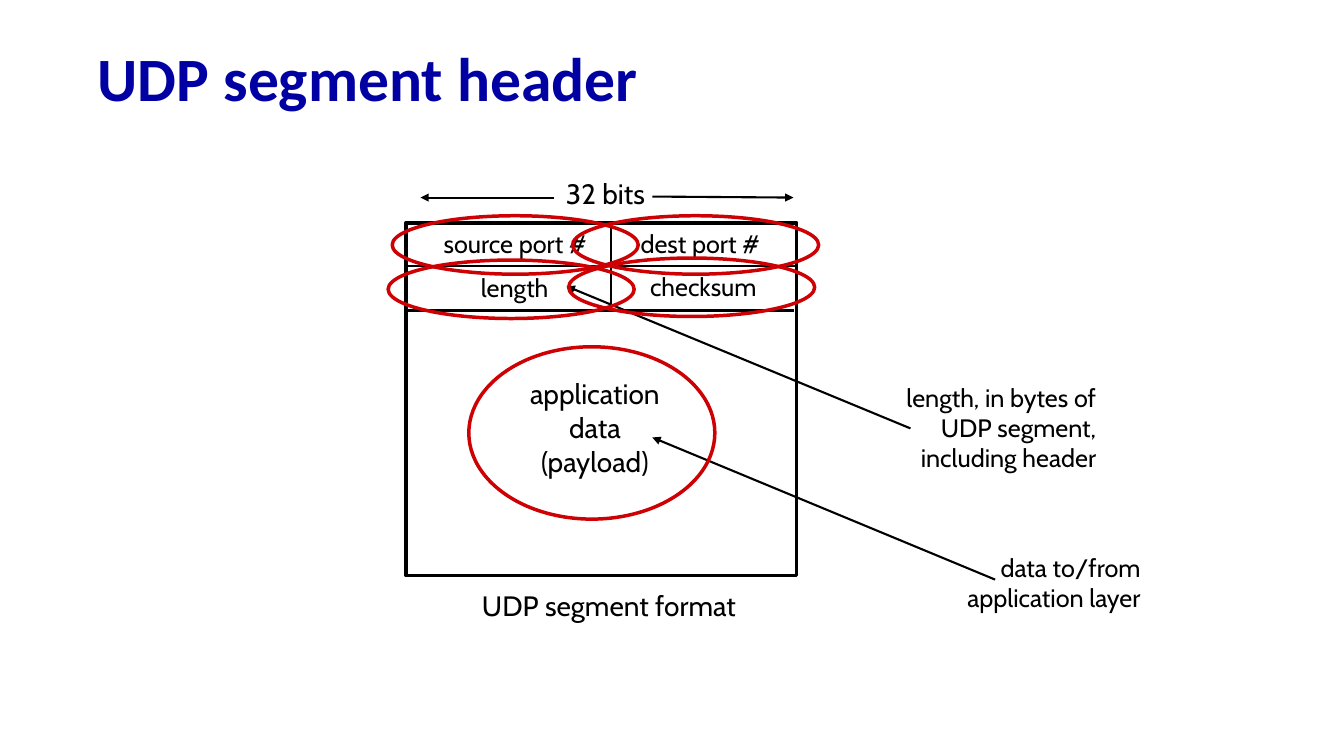
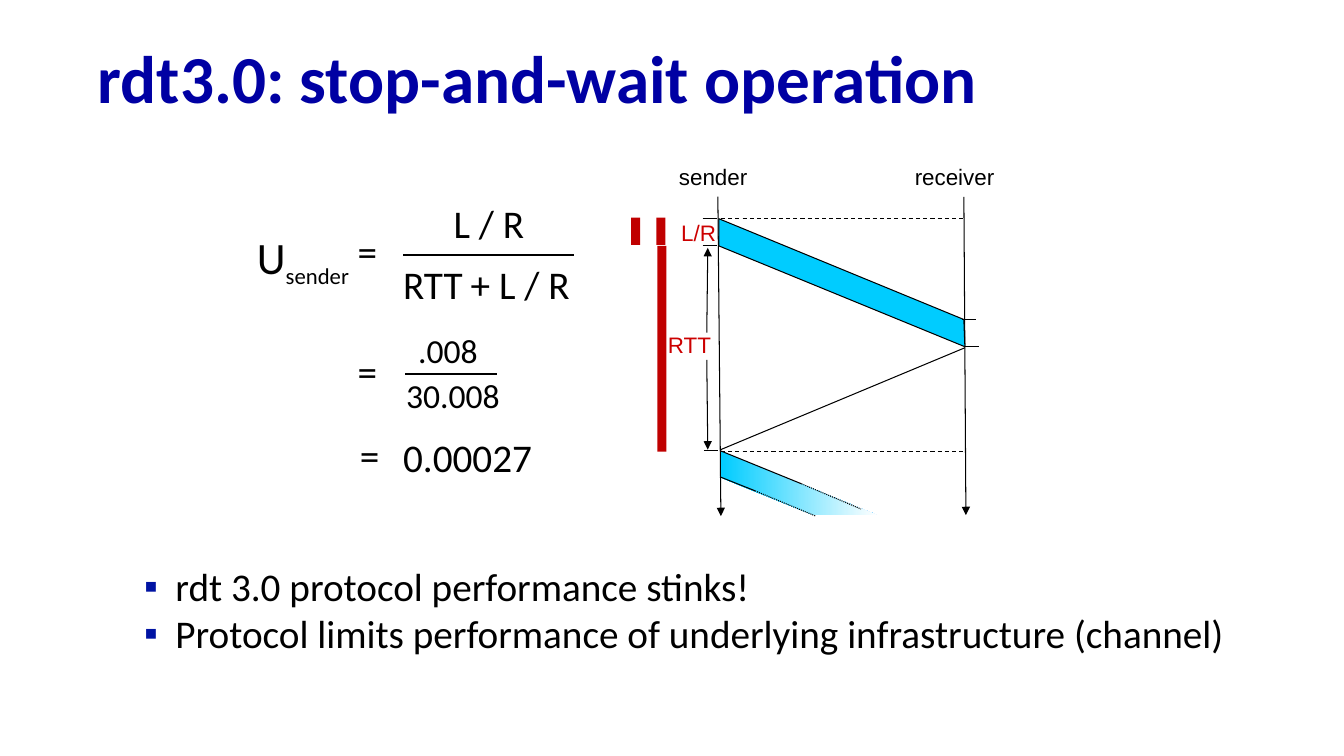
from lxml import etree
from pptx import Presentation
from pptx import util as u
from pptx.dml.color import RGBColor
from pptx.enum import dml, shapes, text
from pptx.oxml import ns

COLORS = {
    "title": "0000A3",
    "bullet": "0013A3",
    "ink": "000000",
    "paper": "FFFFFF",
    "ring": "CD0004",
    "label": "CC0000",
    "bar": "C00000",
    "packet": "00CCFF",
}
LEFT, CENTER, RIGHT = text.PP_ALIGN.LEFT, text.PP_ALIGN.CENTER, text.PP_ALIGN.RIGHT
DASH, DOT = dml.MSO_LINE.DASH, dml.MSO_LINE.ROUND_DOT


def color(name):
    return RGBColor.from_string(COLORS[name])


def inches(values):
    return [u.Inches(value) for value in values]


def add_xml(parent, tag, **attributes):
    return etree.SubElement(parent, ns.qn(tag), attributes)


class Deck:
    def __init__(self):
        self.presentation = Presentation()
        self.presentation.slide_width = u.Inches(13.33)
        self.presentation.slide_height = u.Inches(7.5)
        self.slide = None
        self.font = "Calibri"
        self.line_width = 1.5

    def start(self, title, size, layout, font, line_width):
        self.slide = self.presentation.slides.add_slide(self.presentation.slide_layouts[layout])
        self.font, self.line_width = font, line_width
        frame = self.place(self.slide.shapes.title, (0.87, 0.32, 12.14, 0.98))
        frame.vertical_anchor = text.MSO_ANCHOR.MIDDLE
        frame.text = title
        paragraph = frame.paragraphs[0]
        paragraph.line_spacing = 0.9
        self.style(paragraph, size, "title", LEFT, "Calibri", bold=True)

    def place(self, shape, box):
        shape.left, shape.top, shape.width, shape.height = inches(box)
        frame = shape.text_frame
        frame.word_wrap = True
        frame.auto_size = text.MSO_AUTO_SIZE.NONE
        return frame

    def style(self, paragraph, size, ink="ink", align=LEFT, font=None, bold=False):
        paragraph.alignment = align
        for run in paragraph.runs:
            run.font.name = font or self.font
            run.font.size = u.Pt(size)
            run.font.bold = bold
            run.font.color.rgb = color(ink)

    def label(self, words, box, size, align=LEFT, ink="ink", wrap=True, fill=None):
        shape = self.slide.shapes.add_textbox(*inches(box))
        if fill:
            shape.fill.solid()
            shape.fill.fore_color.rgb = color(fill)
        frame = shape.text_frame
        frame.word_wrap = wrap
        frame.text = words
        for paragraph in frame.paragraphs:
            self.style(paragraph, size, ink, align)
        return frame.paragraphs[0]

    def formula(self, words, left, top, width, size=28):
        height = {24: 0.5, 28: 0.57, 32: 0.64}[size]
        return self.label(words, (left, top, width, height), size, wrap=False)

    def subscript(self, paragraph, words, size):
        run = paragraph.add_run()
        run.text = words
        run.font.name = self.font
        run.font.size = u.Pt(size)
        run.font.color.rgb = color("ink")
        run._r.get_or_add_rPr().set("baseline", "-25000")

    def paint(self, shape, fill=None, line=None, width=1.0):
        shape.shadow.inherit = False
        if fill:
            shape.fill.solid()
            shape.fill.fore_color.rgb = color(fill)
        else:
            shape.fill.background()
        if line:
            shape.line.color.rgb = color(line)
            shape.line.width = u.Pt(width)
        else:
            shape.line.fill.background()

    def rectangle(self, box, fill, line=None, width=1.0):
        shape = self.slide.shapes.add_shape(shapes.MSO_SHAPE.RECTANGLE, *inches(box))
        self.paint(shape, fill, line, width)

    def ring(self, left, top, height=0.58):
        box = inches((left, top, 2.44, height))
        shape = self.slide.shapes.add_shape(shapes.MSO_SHAPE.OVAL, *box)
        self.paint(shape, line="ring", width=2.5)

    def line(self, start, end, arrow=False, dash=None, width=None):
        connector = self.slide.shapes.add_connector(
            shapes.MSO_CONNECTOR.STRAIGHT, *inches(start + end)
        )
        connector.line.color.rgb = color("ink")
        connector.line.width = u.Pt(width or self.line_width)
        if dash:
            connector.line.dash_style = dash
        if arrow:
            add_xml(connector.line._get_or_add_ln(), "a:tailEnd", type="triangle")
        add_xml(connector._element.spPr, "a:effectLst")

    def band(self, points, line=None, fade=False):
        corners = [inches(point) for point in points]
        builder = self.slide.shapes.build_freeform(*corners[0])
        builder.add_line_segments(corners[1:], close=True)
        shape = builder.convert_to_shape()
        self.paint(shape, "packet", line, self.line_width)
        if fade:
            shape.fill.gradient()
            shape.fill.gradient_angle = 0
            for stop, name in zip(shape.fill.gradient_stops, ("packet", "paper")):
                stop.color.rgb = color(name)

    def bullets(self, items, box, size):
        frame = self.place(self.slide.placeholders[1], box)
        frame.vertical_anchor = text.MSO_ANCHOR.TOP
        frame.text = "\n".join(items)
        for paragraph in frame.paragraphs:
            properties = paragraph._p.get_or_add_pPr()
            properties.set("marL", str(u.Inches(0.31)))
            properties.set("indent", str(u.Inches(-0.31)))
            add_xml(add_xml(properties, "a:buClr"), "a:srgbClr", val=COLORS["bullet"])
            add_xml(properties, "a:buFont", typeface="Arial")
            add_xml(properties, "a:buChar", char="▪")
            paragraph.space_before = u.Pt(0)
            self.style(paragraph, size)


def segment_header(deck):
    deck.start("UDP segment header", 44, 5, "Cabin", 1.5)
    deck.rectangle((4.03, 2.21, 3.87, 3.5), "paper", "ink", 2.75)
    for words, left, top, width in (
        ("source port #", 4.2, 2.22, 1.82),
        ("dest port #", 6.17, 2.22, 1.55),
        ("length", 4.63, 2.65, 0.95),
        ("checksum", 6.29, 2.64, 1.37),
    ):
        deck.label(words, (left, top, width, 0.4), 18, CENTER)
    for words, box in (
        ("32 bits", (5.46, 1.7, 1.09, 0.43)),
        ("application\ndata\n(payload)", (5.09, 3.69, 1.62, 1.1)),
        ("UDP segment format", (4.57, 5.79, 2.94, 0.43)),
    ):
        deck.label(words, box, 20, CENTER)

    for left, y in ((4.02, 2.64), (4.01, 3.08)):
        deck.line((left, y), (left + 3.87, y))
    for top in (2.21, 2.65):
        deck.line((6.06, top), (6.06, top + 0.44))
    for start, end in (
        ((6.47, 1.95), (7.87, 1.96)),
        ((5.49, 1.96), (4.17, 1.96)),
        ((9.03, 4.25), (5.62, 2.84)),
        ((9.87, 5.75), (6.47, 4.34)),
    ):
        deck.line(start, end, arrow=True)
    for left, top in ((3.89, 2.14), (5.68, 2.14), (3.85, 2.58), (5.64, 2.56)):
        deck.ring(left, top)
    deck.ring(4.65, 3.44, 1.71)
    deck.label("length, in bytes of UDP segment, including header",
               (8.34, 3.74, 2.63, 1), 18, RIGHT)
    deck.label("data to/from application layer", (8.78, 5.43, 2.63, 0.71), 18, RIGHT)


def timing_diagram(deck):
    deck.font = "Arial"
    deck.line((7.13, 2.18), (9.57, 3.19))
    deck.line((7.12, 1.94), (7.15, 5.12), arrow=True)
    deck.line((9.56, 1.95), (9.58, 5.11), arrow=True)
    for words, left, width in (("sender", 6.54, 0.97), ("receiver", 8.93, 1.03)):
        deck.label(words, (left, 1.57, width, 0.38), 16, RIGHT, fill="paper")
    for y in (2.17, 4.48):
        deck.line((7.15, y), (9.55, y), dash=DASH)
    deck.line((7.15, 4.46), (9.57, 3.45))
    deck.band([(7.13, 2.17), (9.56, 3.17), (9.57, 3.44), (7.13, 2.44)], line="ink")
    for left, y in ((6.97, 2.17), (6.97, 2.44), (6.98, 4.47), (9.54, 3.17), (9.57, 3.44)):
        deck.line((left, y), (left + 0.14, y))
    deck.band([(7.15, 4.48), (8.7, 5.11), (8.07, 5.11), (7.15, 4.74)], fade=True)
    for start, middle, end in (
        ((7.14, 4.47), (7.95, 4.8), (8.54, 5.05)),
        ((7.14, 4.73), (7.49, 4.87), (8.09, 5.12)),
    ):
        deck.line(start, middle)
        deck.line(middle, end, dash=DOT)

    for words, left, top in (("RTT", 6.22, 3.24), ("L/R", 6.27, 2.12)):
        deck.label(words, (left, top, 0.93, 0.37), 16, RIGHT, "label")
    deck.line((7.01, 3.57), (7.02, 4.46), arrow=True)
    deck.line((7.01, 3.3), (7.02, 2.46), arrow=True)
    for left, top, height in ((6.52, 2.44, 2.04), (6.51, 2.16, 0.27), (6.26, 2.16, 0.27)):
        deck.rectangle((left, top, 0.09, height), "bar")


def utilization(deck):
    deck.font = "Calibri"
    deck.subscript(deck.formula("U", 2.45, 2.23, 1.22, 32), "sender", 28)
    for left, top in ((3.45, 2.21), (3.45, 3.4), (3.47, 4.23)):
        deck.formula("=", left, top, 0.4)
    deck.formula("L / R", 4.4, 1.93, 0.91)
    deck.formula("RTT", 3.9, 2.53, 0.8)
    deck.formula("+ L / R", 4.57, 2.53, 1.2)
    deck.formula(".008", 4.05, 3.22, 0.8, 24)
    deck.formula("30.008", 3.93, 3.67, 1.14, 24)
    deck.formula("0.00027", 3.9, 4.25, 1.5)
    deck.line((4, 2.53), (5.69, 2.53), width=1.75)
    deck.line((4.02, 3.71), (4.93, 3.71), width=1.5)


def stop_and_wait(deck):
    deck.start("rdt3.0: stop-and-wait operation", 48, 1, "Calibri", 0.75)
    timing_diagram(deck)
    utilization(deck)
    deck.bullets(
        [
            "rdt 3.0 protocol performance stinks!",
            "Protocol limits performance of underlying infrastructure (channel)",
        ],
        (1.33, 5.53, 11.15, 1.35),
        28,
    )


def main():
    deck = Deck()
    segment_header(deck)
    stop_and_wait(deck)
    deck.presentation.save("out.pptx")


if __name__ == "__main__":
    main()
